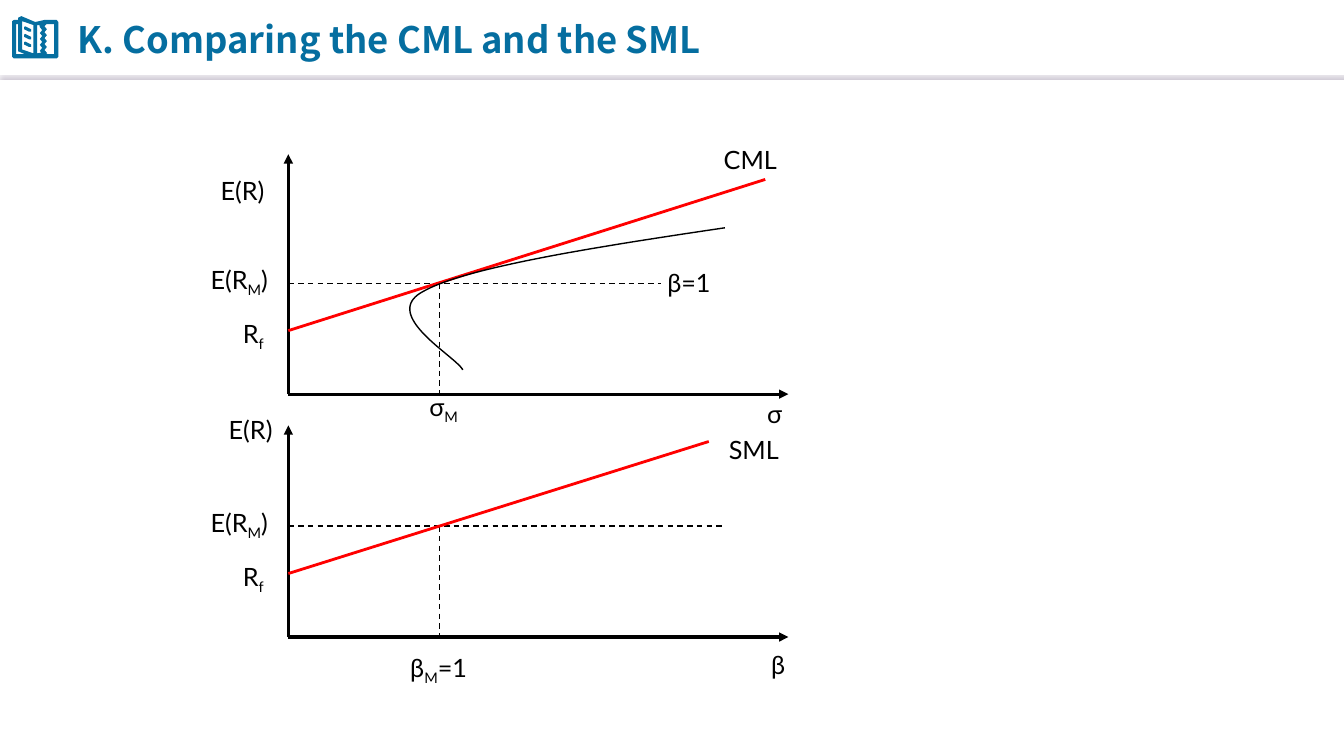
from pptx import Presentation
from pptx.dml.color import RGBColor
from pptx.enum.dml import MSO_LINE_DASH_STYLE as Dash
from pptx.enum.shapes import MSO_CONNECTOR as Conn
from pptx.enum.text import MSO_ANCHOR as Anchor, MSO_AUTO_SIZE as Auto
from pptx.oxml.ns import qn
from pptx.util import Inches, Pt
from lxml.etree import SubElement as Sub

WIDE, HIGH = 13.33, 7.5
BLUE, BLACK, RED, WHITE, GREY = "056EA0", "000000", "FF0000", "FFFFFF", "BCB4C4"


def paint(target, color):
    """Set a solid colour on a fill."""
    target.solid()
    target.fore_color.rgb = RGBColor.from_string(color)


def rule(slide, start, end, color=BLACK, size=1, dash=False, head=False):
    """Draw a straight line and return its empty effect list."""
    line = slide.shapes.add_connector(Conn.STRAIGHT, *map(Inches, (*start, *end)))
    paint(line.line.fill, color)
    line.line.width = Pt(size)
    if dash:
        line.line.dash_style = Dash.DASH
    if head:
        Sub(line.line._get_or_add_ln(), qn("a:tailEnd"), type="triangle")
    return Sub(line._element.spPr, qn("a:effectLst"))


def write(slide, box, text, size=18, font="Lato", color=BLACK, bold=False, wrap=False):
    """Write text, lowering each letter that follows an underscore."""
    shape = slide.shapes.add_textbox(*map(Inches, box))
    frame = shape.text_frame
    frame.word_wrap = wrap
    frame.auto_size = Auto.NONE if wrap else Auto.SHAPE_TO_FIT_TEXT
    frame.vertical_anchor = Anchor.MIDDLE if wrap else Anchor.TOP
    first, *rest = text.split("_")
    parts = [(first, False)]
    for part in rest:
        parts += [(part[0], True), (part[1:], False)]
    for words, low in parts:
        if words:
            run = frame.paragraphs[0].add_run()
            run.text = words
            run.font.size, run.font.name, run.font.bold = Pt(size), font, bold
            run.font.color.rgb = RGBColor.from_string(color)
            if low:
                run._r.get_or_add_rPr().set("baseline", "-25000")


def trace(slide, rings, closed):
    """Build one outline from lists of points in inches."""
    rings = [[(Inches(x), Inches(y)) for x, y in ring] for ring in rings]
    build = slide.shapes.build_freeform(*rings[0][0])
    for i, ring in enumerate(rings):
        if i:
            build.move_to(*ring[0])
        build.add_line_segments(ring[1:], close=closed)
    shape = build.convert_to_shape()
    shape.shadow.inherit = False
    return shape


def book(slide, x, y, w, h):
    """Draw the open book icon in its box."""
    cover = [(0, .12), (.04, .09), (.13, .09), (.13, .04), (.2, 0), (.5, .14),
             (.7, .09), (.96, .09), (1, .14), (1, .96), (.96, 1), (.04, 1), (0, .96)]
    left = [(.09, .19), (.13, .19), (.13, .83), (.28, .9), (.09, .9)]
    page = [(.22, .12), (.46, .21), (.46, .88), (.22, .79)]
    marks = [[(.28, t), (.41, t + .07), (.41, t + .13), (.37, t + .13),
              (.26, t + .07), (.26, t + .02)] for t in (.24, .42, .6)]
    wave = [(.65 if i % 2 else .6, .26 + i * .07) for i in range(9)]
    inner = [(.54, .21), (.59, .21), *wave, (.63, .86), (.54, .88)]
    edge = [(px + .1, py - .02) for px, py in wave]
    right = [(.91, .19), (.74, .19), *edge, (.76, .88), (.72, .9), (.91, .9)]
    rings = [[(x + w * px, y + h * py) for px, py in ring]
             for ring in (cover, left, page, *marks, inner, right)]
    icon = trace(slide, rings, True)
    paint(icon.fill, BLUE)
    icon.line.fill.background()


def header(slide, x, y, w, h):
    """Draw the icon, the title and the shaded rule."""
    effect = rule(slide, (x, y + h), (x + w, y + h), WHITE, .75)
    shade = Sub(effect, qn("a:outerShdw"), blurRad=str(Pt(1)), dist=str(Pt(3)),
                dir="5400000", algn="t", rotWithShape="0")
    Sub(shade, qn("a:srgbClr"), val=GREY)
    book(slide, x + .12, y + .16, .46, .42)
    write(slide, (x + .67, y + .07, w * .8, .63), "K. Comparing the CML and the SML",
          26, "Noto Sans CJK SC", BLUE, True, True)


def bend(a, b, c, d, steps=40):
    """Return points along a cubic curve."""
    for i in range(steps + 1):
        t = i / steps
        s = 1 - t
        yield tuple(s**3 * p + 3 * s * s * t * q + 3 * s * t * t * r + t**3 * u
                    for p, q, r, u in zip(a, b, c, d))


def front(slide, x, y):
    """Draw the efficient frontier from the plot origin."""
    upper = bend((4.33, -1.65), (3.05, -1.46), (1.77, -1.26), (1.34, -1.02))
    lower = bend((1.34, -1.02), (.9, -.79), (1.67, -.37), (1.73, -.24))
    curve = trace(slide, [[(x + px, y + py) for px, py in [*upper, *lower]]], False)
    curve.fill.background()
    paint(curve.line.fill, BLACK)
    curve.line.width = Pt(1)


def plot(slide, x, y, w, h, end, reach, labels):
    """Draw axes, guides, market line and labels in a box."""
    base, mid, level = y + h, x + 1.5, y + h - 1.1
    rule(slide, (x, level), (x + reach, level), dash=True)
    rule(slide, (mid, level), (mid, base), dash=True)
    rule(slide, (x, base), (x + w, base), size=2.25, head=True)
    rule(slide, (x, base), (x, y), size=2.25, head=True)
    rule(slide, (x, base - .63), (x + end[0], base - end[1]), RED, 2)
    shared = [("R_f", -.55, -.8, .42), ("E(R_M)", -.87, -1.34, .84)]
    for text, dx, dy, width in shared + labels:
        write(slide, (x + dx, base + dy, width, .4), text)


def main():
    """Build and save the slide."""
    deck = Presentation()
    deck.slide_width, deck.slide_height = Inches(WIDE), Inches(HIGH)
    slide = deck.slides.add_slide(deck.slide_layouts[6])
    header(slide, 0, 0, WIDE, .73)
    x, w = 2.86, 4.96
    plot(slide, x, 1.53, w, 2.38, (4.73, 2.13), 3.7,
         [("E(R)", -.77, -2.22, .69), ("CML", 4.22, -2.53, .74), ("σ", 4.65, -.01, .45),
          ("σ_M", 1.3, -.08, .59), ("β=1", 3.66, -1.31, .64)])
    front(slide, x, 3.91)
    plot(slide, x, 4.22, w, 2.1, (4.17, 1.94), 4.33,
         [("E(R)", -.69, -2.26, .69), ("SML", 4.27, -2.06, .72), ("β", 4.69, .07, .45),
          ("β_M=1", 1.11, .1, .78)])
    deck.save("out.pptx")


if __name__ == "__main__":
    main()
